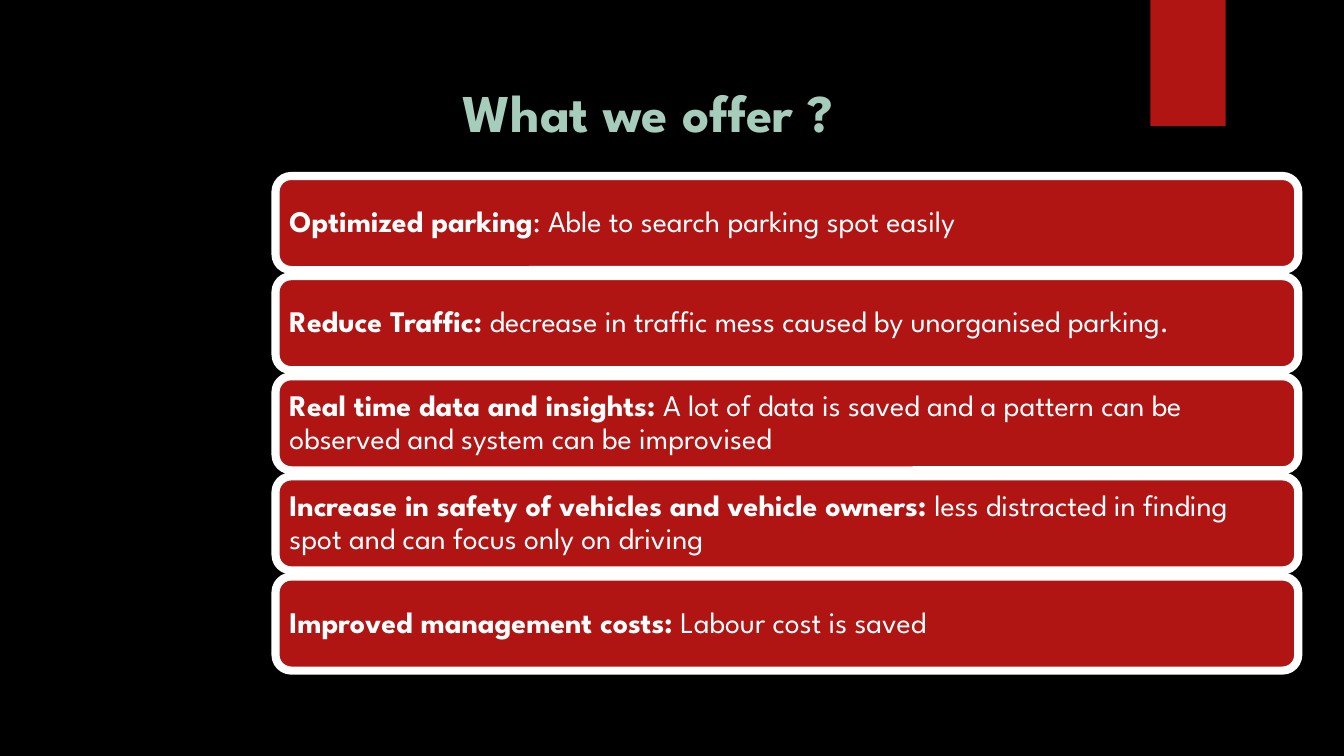
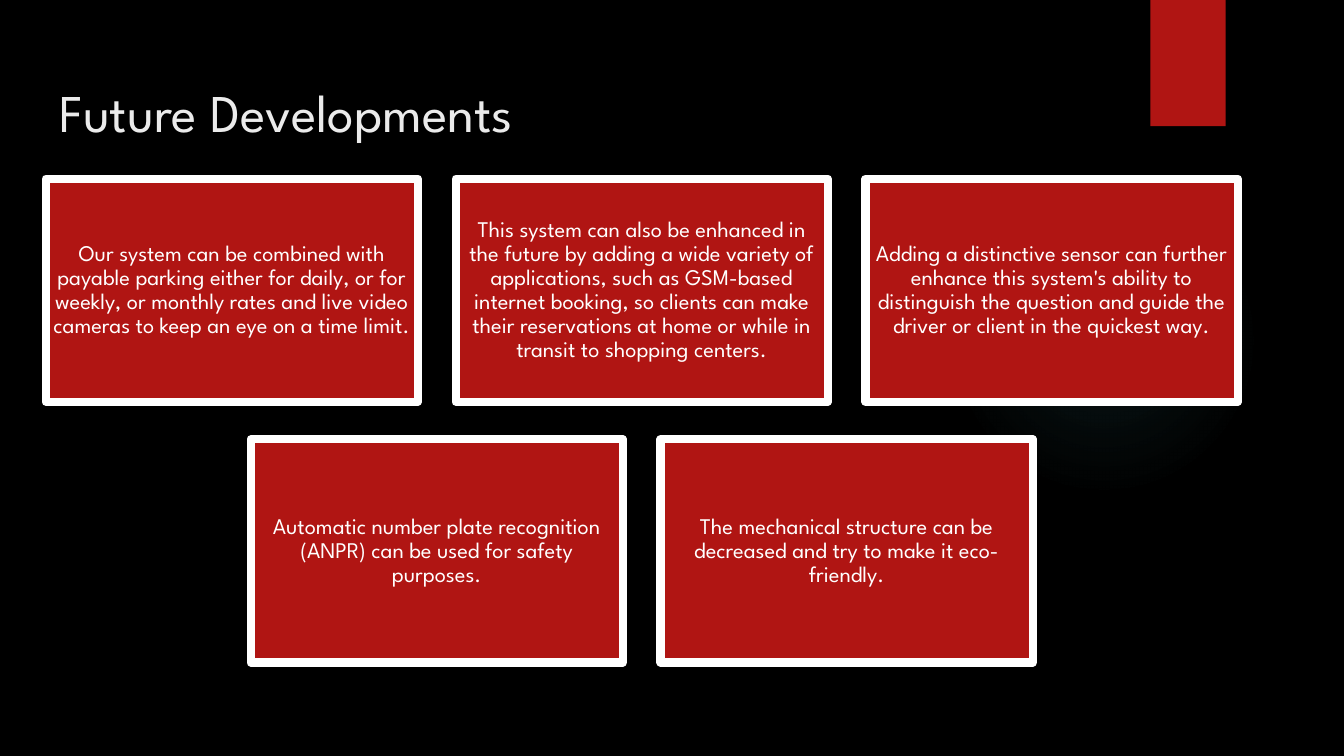
from lxml.etree import fromstring
from pptx import Presentation
from pptx.dml.color import RGBColor
from pptx.enum.shapes import MSO_SHAPE as Kind
from pptx.enum.text import MSO_ANCHOR as Anchor, MSO_AUTO_SIZE as Fit, PP_ALIGN as Align
from pptx.util import Inches, Pt

OFFER = "What we offer ?"
GAINS = [
    ("Optimized parking", ": Able to search parking spot easily"),
    ("Reduce Traffic:", " decrease in traffic mess caused by unorganised parking."),
    ("Real time data and insights:",
     " A lot of data is saved and a pattern can be observed and system can be improvised"),
    ("Increase in safety of vehicles and vehicle owners:",
     " less distracted in finding spot and can focus only on driving"),
    ("Improved management costs:", " Labour cost is saved"),
]

FUTURE = "Future Developments"
IDEAS = [
    [
        "Our system can be combined with payable parking either for daily, or for weekly, "
        "or monthly rates and live video cameras to keep an eye on a time limit.",
        "This system can also be enhanced in the future by adding a wide variety of "
        "applications, such as GSM-based internet booking, so clients can make their "
        "reservations at home or while in transit to shopping centers.",
        "Adding a distinctive sensor can further enhance this system's ability to "
        "distinguish the question and guide the driver or client in the quickest way.",
    ],
    [
        "Automatic number plate recognition (ANPR) can be used for safety purposes.",
        "The mechanical structure can be decreased and try to make it eco-friendly.",
    ],
]

BLACK = RGBColor(0x00, 0x00, 0x00)
WHITE = RGBColor(0xFF, 0xFF, 0xFF)
RED = RGBColor(0xB0, 0x15, 0x13)
MINT = RGBColor(0xA6, 0xCD, 0xBC)
PALE = RGBColor(0xEB, 0xEB, 0xEB)
TEAL = RGBColor(0x50, 0xB9, 0xC1)
FONT = "League Spartan"

PAGE_W = Inches(10)
PAGE_H = PAGE_W * 9 // 16
LEFT, WIDE = 0.34, 9.32
BAR_X, BAR_W, BAR_H = 2.05, 7.61, 0.7
BAR_TOP, BAR_LAST = 1.31, 4.29
CARD_Y, CARD_W, CARD_H, GAP = 1.33, 2.77, 1.66, 0.28

# Position and opacity in percent
GLOW = [(0, 7), (36, 6), (69, 0)]
NS = "http://schemas.openxmlformats.org/drawingml/2006/main"


def style(run, size, color, bold=False):
    font = run.font
    font.name, font.size, font.bold = FONT, Pt(size), bold
    font.color.rgb = color


def pad(frame, inset):
    frame.margin_left = frame.margin_right = Inches(inset)
    frame.margin_top = frame.margin_bottom = Inches(inset)
    frame.word_wrap = True


def draw(slide, kind, x, y, w, h):
    """Add a red preset shape without line or shadow."""
    shape = slide.shapes.add_shape(kind, Inches(x), Inches(y), Inches(w), Inches(h))
    shape.shadow.inherit = False
    shape.fill.solid()
    shape.fill.fore_color.rgb = RED
    shape.line.fill.background()
    return shape


def add_box(slide, kind, place, parts, size, inset, align):
    """Add a white-framed box; parts are (text, bold) pairs."""
    box = draw(slide, kind, *place)
    box.line.color.rgb = WHITE
    box.line.width = Pt(4.33)
    frame = box.text_frame
    pad(frame, inset)
    frame.vertical_anchor = Anchor.MIDDLE
    para = frame.paragraphs[0]
    para.alignment, para.line_spacing = align, 0.9
    for text, bold in parts:
        run = para.add_run()
        run.text = text
        style(run, size, WHITE, bold)


def add_glow(slide):
    glow = draw(slide, Kind.OVAL, 7.06, 1.38, 2.31, 2.31)
    stops = "".join(
        f'<a:gs pos="{pos * 1000}"><a:srgbClr val="{TEAL}">'
        f'<a:alpha val="{alpha * 1000}"/></a:srgbClr></a:gs>'
        for pos, alpha in GLOW)
    grad = fromstring(
        f'<a:gradFill xmlns:a="{NS}"><a:gsLst>{stops}</a:gsLst><a:path path="circle">'
        '<a:fillToRect l="50000" t="50000" r="50000" b="50000"/></a:path></a:gradFill>')
    props = glow.element.spPr
    props.replace(props.find(f"{{{NS}}}solidFill"), grad)
    return glow


def set_layout(deck, layout):
    """Style the layout through its first slide, which is returned."""
    layout.background.fill.solid()
    layout.background.fill.fore_color.rgb = BLACK
    for holder in list(layout.placeholders)[1:]:
        layout.shapes.element.remove(holder.element)
    title = layout.placeholders[0]
    title.left, title.top = Inches(LEFT), Inches(0.49)
    title.width, title.height = Inches(WIDE), Inches(0.63)
    slide = deck.slides.add_slide(layout)
    for shape in (add_glow(slide), draw(slide, Kind.RECTANGLE, 8.56, 0, 0.56, 0.94)):
        layout.shapes.element.append(shape.element)
    return slide


def set_title(slide, text, color, bold=False):
    frame = slide.shapes.title.text_frame
    frame.text = text
    pad(frame, 0.1)
    frame.auto_size = Fit.NONE
    frame.vertical_anchor = Anchor.TOP
    para = frame.paragraphs[0]
    para.alignment = Align.LEFT
    style(para.runs[0], 28.4, color, bold)
    return para


def fill_offer(slide):
    para = set_title(slide, OFFER, MINT, True)
    props = para._p.get_or_add_pPr()
    props.set("marL", str(Inches(2.5)))
    props.set("indent", str(Inches(0.5)))
    step = (BAR_LAST - BAR_TOP) / (len(GAINS) - 1)
    for i, (head, rest) in enumerate(GAINS):
        place = BAR_X, BAR_TOP + i * step, BAR_W, BAR_H
        add_box(slide, Kind.ROUNDED_RECTANGLE, place,
                [(head, True), (rest, False)], 16, 0.07, Align.LEFT)


def fill_future(slide):
    set_title(slide, FUTURE, PALE)
    most = max(map(len, IDEAS))
    for i, row in enumerate(IDEAS):
        start = LEFT + (most - len(row)) * (CARD_W + GAP) / 2
        for j, text in enumerate(row):
            place = (start + j * (CARD_W + GAP), CARD_Y + i * (CARD_H + GAP), CARD_W, CARD_H)
            add_box(slide, Kind.RECTANGLE, place, [(text, False)], 12, 0.05, Align.CENTER)


def main():
    deck = Presentation()
    deck.slide_width, deck.slide_height = PAGE_W, PAGE_H
    layout = deck.slide_layouts[5]
    fill_offer(set_layout(deck, layout))
    fill_future(deck.slides.add_slide(layout))
    deck.save("out.pptx")


if __name__ == "__main__":
    main()
